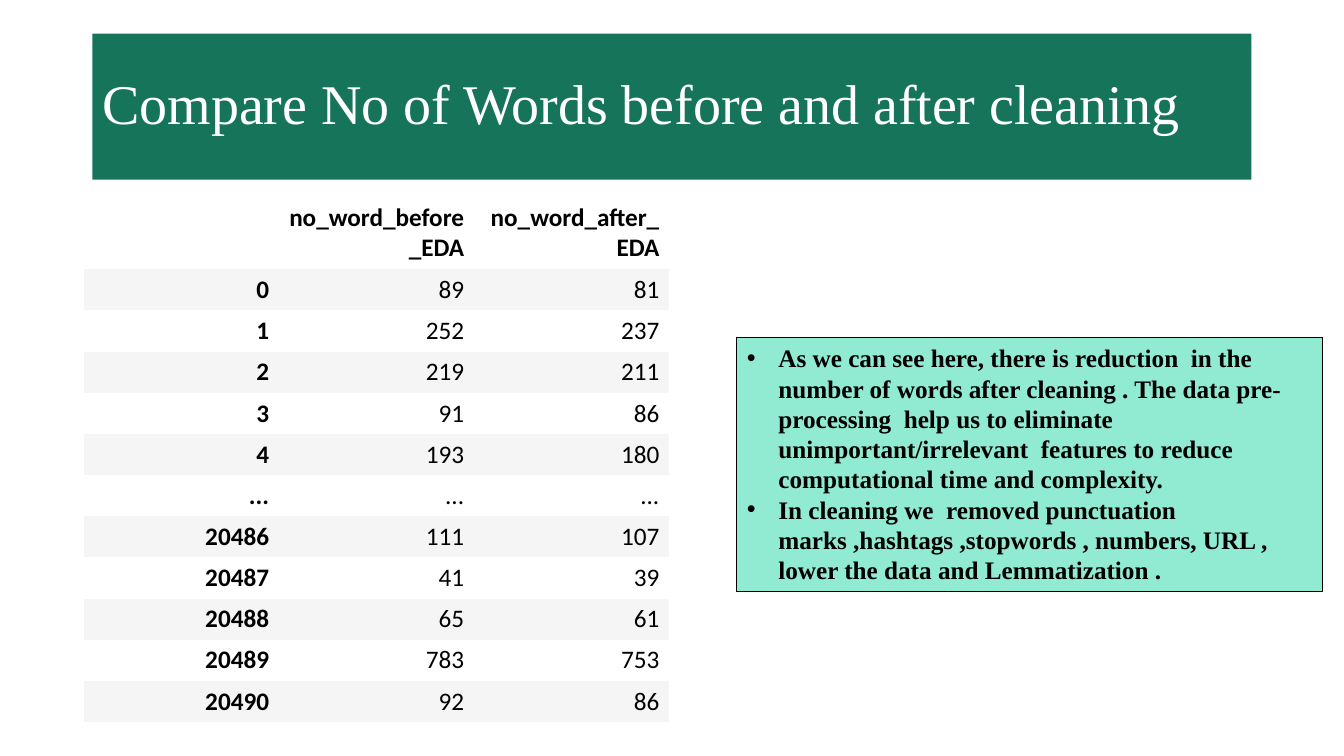
from collections import namedtuple
from dataclasses import dataclass

from lxml import etree
from pptx import Presentation
from pptx import util as u
from pptx.dml.color import RGBColor
from pptx.enum import shapes, text
from pptx.oxml import ns

Box = namedtuple("Box", "x y w h")


@dataclass(frozen=True)
class Theme:
    """Colours, fonts and type sizes of the slide."""
    banner: str = "16745A"
    note: str = "91EAD2"
    band: str = "F5F5F5"
    white: str = "FFFFFF"
    black: str = "000000"
    serif: str = "Times New Roman"
    sans: str = "Calibri"
    title_size: int = 40
    body_size: int = 18


THEME = Theme()
NO_TABLE_STYLE = "{2D5ABB26-0587-4C30-8999-92F81FD0307C}"
TITLE = "Compare No of Words before and after cleaning"
WORD_COUNTS = [
    ("", "no_word_before_EDA", "no_word_after_EDA"),
    ("0", "89", "81"),
    ("1", "252", "237"),
    ("2", "219", "211"),
    ("3", "91", "86"),
    ("4", "193", "180"),
    ("...", "...", "..."),
    ("20486", "111", "107"),
    ("20487", "41", "39"),
    ("20488", "65", "61"),
    ("20489", "783", "753"),
    ("20490", "92", "86"),
]
FINDINGS = [
    "As we can see here, there is reduction  in the number of words after "
    "cleaning . The data pre-processing  help us to eliminate "
    "unimportant/irrelevant  features to reduce computational time and "
    "complexity.",
    "In cleaning we  removed punctuation marks ,hashtags ,stopwords , "
    "numbers, URL , lower the data and Lemmatization .",
]


def set_attrs(obj, values):
    """Set each attribute named in a dict of format values."""
    for name, value in values.items():
        setattr(obj, name, value)


def fill_with(obj, color):
    """Give a shape or cell a solid fill."""
    obj.fill.solid()
    obj.fill.fore_color.rgb = RGBColor.from_string(color)


def write(p, words, color, para=None, **font):
    """Write one run into a paragraph and format both."""
    set_attrs(p, para or {})
    r = p.add_run()
    r.text = words
    set_attrs(r.font, font)
    r.font.color.rgb = RGBColor.from_string(color)


def add_bullet(p, indent):
    """Give a paragraph a round bullet with a hanging indent."""
    props = p._p.get_or_add_pPr()
    props.set("marL", str(u.Pt(indent)))
    props.set("indent", str(-u.Pt(indent)))
    etree.SubElement(props, ns.qn("a:buFont")).set("typeface", "Arial")
    etree.SubElement(props, ns.qn("a:buChar")).set("char", "\u2022")


def add_panel(s, box, color, anchor):
    """Add a filled rectangle and return it with its text frame."""
    sp = s.shapes.add_shape(shapes.MSO_SHAPE.RECTANGLE, *map(u.Pt, box))
    sp.shadow.inherit = False
    fill_with(sp, color)
    tf = sp.text_frame
    set_attrs(tf, {"word_wrap": True, "vertical_anchor": anchor})
    return sp, tf


def add_title(s, box):
    """Place the title banner in its box."""
    sp, tf = add_panel(s, box, THEME.banner, text.MSO_ANCHOR.MIDDLE)
    sp.line.fill.background()
    write(tf.paragraphs[0], TITLE, THEME.white,
          {"alignment": text.PP_ALIGN.LEFT, "line_spacing": 0.9},
          name=THEME.serif, size=u.Pt(THEME.title_size))


def add_word_table(s, box, header_height):
    """Place the word counts, with equal columns and equal body rows."""
    n_rows, n_cols = len(WORD_COUNTS), len(WORD_COUNTS[0])
    frame = s.shapes.add_table(n_rows, n_cols, *map(u.Pt, box))
    table = frame.table
    table.horz_banding = False
    table._tbl.tblPr.find(ns.qn("a:tableStyleId")).text = NO_TABLE_STYLE
    for column in table.columns:
        column.width = u.Pt(box.w / n_cols)
    body_height = (box.h - header_height) / (n_rows - 1)
    for i, values in enumerate(WORD_COUNTS):
        table.rows[i].height = u.Pt(body_height if i else header_height)
        for j, value in enumerate(values):
            cell = table.cell(i, j)
            fill_with(cell, THEME.band if i % 2 else THEME.white)
            cell.vertical_anchor = text.MSO_ANCHOR.MIDDLE
            if value:
                write(cell.text_frame.paragraphs[0], value, THEME.black,
                      {"alignment": text.PP_ALIGN.RIGHT},
                      name=THEME.sans, size=u.Pt(THEME.body_size),
                      bold=i == 0 or j == 0)


def add_findings(s, box):
    """Place the bulleted findings in an outlined panel."""
    sp, tf = add_panel(s, box, THEME.note, text.MSO_ANCHOR.TOP)
    sp.line.color.rgb = RGBColor.from_string(THEME.black)
    sp.line.width = u.Pt(0.75)
    tf.auto_size = text.MSO_AUTO_SIZE.SHAPE_TO_FIT_TEXT
    for i, finding in enumerate(FINDINGS):
        p = tf.add_paragraph() if i else tf.paragraphs[0]
        write(p, finding, THEME.black, {"alignment": text.PP_ALIGN.LEFT},
              name=THEME.serif, size=u.Pt(THEME.body_size), bold=True)
        add_bullet(p, 22.5)


def main():
    """Build the slide and save it."""
    prs = Presentation()
    set_attrs(prs, {"slide_width": u.Pt(960), "slide_height": u.Pt(540)})
    s = prs.slides.add_slide(prs.slide_layouts[6])
    add_title(s, Box(66, 24, 828, 104.4))
    add_word_table(s, Box(60, 140.4, 418.2, 375.4), 52)
    add_findings(s, Box(526.4, 241.2, 418.2, 181.4))
    prs.save("out.pptx")


main()
